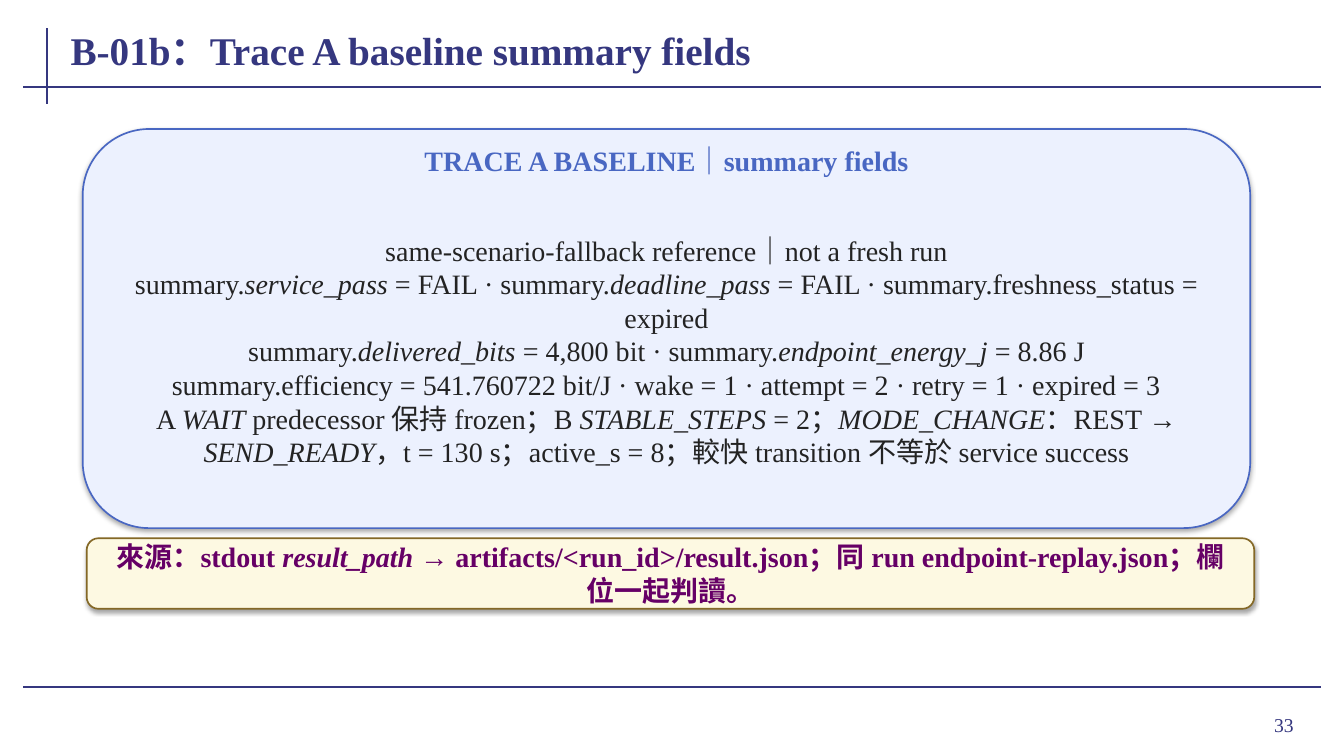
from lxml import etree
from pptx import Presentation
from pptx.dml.color import RGBColor
from pptx.enum.shapes import MSO_CONNECTOR, MSO_SHAPE
from pptx.enum.text import MSO_ANCHOR, MSO_AUTO_SIZE, PP_ALIGN
from pptx.oxml.ns import qn
from pptx.util import Inches, Pt

LINE, ROUND = MSO_CONNECTOR.STRAIGHT, MSO_SHAPE.ROUNDED_RECTANGLE
MIDDLE, NO_FIT = MSO_ANCHOR.MIDDLE, MSO_AUTO_SIZE.NONE
LEFT, CENTER, RIGHT = PP_ALIGN.LEFT, PP_ALIGN.CENTER, PP_ALIGN.RIGHT

FONT = "Times New Roman"
NAVY = RGBColor(0x35, 0x37, 0x7F)
BLUE = RGBColor(0x49, 0x67, 0xC2)
PALE = RGBColor(0xEC, 0xF1, 0xFE)
INK = RGBColor(0x23, 0x23, 0x23)
CREAM = RGBColor(0xFD, 0xF9, 0xE2)
BROWN = RGBColor(0x84, 0x68, 0x26)
PLUM = RGBColor(0x66, 0x00, 0x66)


def write(shape, lines, size, color, bold=False, align=CENTER, inset=(0.02, 0)):
    """Fill a shape with paragraphs; words between asterisks are italic."""
    frame = shape.text_frame
    frame.word_wrap = True
    frame.auto_size = NO_FIT
    frame.vertical_anchor = MIDDLE
    frame.margin_left = frame.margin_right = Inches(inset[0])
    frame.margin_top = frame.margin_bottom = Inches(inset[1])
    for i, line in enumerate(lines):
        para = frame.add_paragraph() if i else frame.paragraphs[0]
        para.alignment = align
        for j, part in enumerate(line.split("*")):
            if not part:
                continue
            run = para.add_run()
            run.text = part
            font = run.font
            font.name, font.size, font.bold = FONT, Pt(size), bold
            font.italic = j % 2 == 1
            font.color.rgb = color


def text_box(box, *args, **opts):
    write(slide.shapes.add_textbox(*map(Inches, box)), *args, **opts)


deck = Presentation()
deck.slide_width, deck.slide_height = Inches(13.33), Inches(7.5)
slide = deck.slides.add_slide(deck.slide_layouts[5])

# Frame rules
for ends in [(0.47, 0.28, 0.47, 1.03), (0.23, 0.86, 13.1, 0.86), (0.23, 6.82, 13.1, 6.82)]:
    rule = slide.shapes.add_connector(LINE, *map(Inches, ends))
    rule.line.color.rgb = NAVY
    rule.line.width = Pt(1.5)
    etree.SubElement(rule._element.spPr, qn("a:effectLst"))

# Title and page number
title = slide.shapes.title
title.left, title.top = Inches(0.68), Inches(0.18)
title.width, title.height = Inches(11.95), Inches(0.62)
write(title, ["B-01b：Trace A baseline summary fields"], 28, NAVY, bold=True, align=LEFT)
text_box((11.96, 6.93, 0.97, 0.52), ["33"], 14, NAVY, align=RIGHT, inset=(0.1, 0.05))

# Cards with a soft shadow
for box, fill, edge in [
    ((0.82, 1.28, 11.58, 3.96), PALE, BLUE),
    ((0.86, 5.34, 11.58, 0.7), CREAM, BROWN),
]:
    card = slide.shapes.add_shape(ROUND, *map(Inches, box))
    card.fill.solid()
    card.fill.fore_color.rgb = fill
    card.line.color.rgb = edge
    card.line.width = Pt(1.2)
    card.shadow.inherit = False
    effects = card._element.spPr.find(qn("a:effectLst"))
    shade = etree.SubElement(
        effects, qn("a:outerShdw"), blurRad=str(Pt(3.1)), dist=str(Pt(1.8)),
        dir="5400000", algn="ctr", rotWithShape="0")
    black = etree.SubElement(shade, qn("a:srgbClr"), val="000000")
    etree.SubElement(black, qn("a:alpha"), val="35000")

# Summary card text
text_box((1, 1.44, 11.22, 0.3), ["TRACE A BASELINE｜summary fields"], 20, BLUE,
         bold=True, inset=(0.01, 0))
text_box((1.02, 1.86, 11.18, 3.24), [
    "same-scenario-fallback reference｜not a fresh run",
    "summary.*service_pass* = FAIL · summary.*deadline_pass* = FAIL"
    " · summary.freshness_status = expired",
    "summary.*delivered_bits* = 4,800 bit · summary.*endpoint_energy_j* = 8.86 J",
    "summary.efficiency = 541.760722 bit/J · wake = 1 · attempt = 2 · retry = 1 · expired = 3",
    "A *WAIT* predecessor 保持 frozen；B *STABLE_STEPS* = 2；*MODE_CHANGE*：REST → "
    "*SEND_READY*，t = 130 s；active_s = 8；較快 transition 不等於 service success",
], 20, INK, inset=(0.08, 0.04))

# Source note
text_box((1.04, 5.41, 11.22, 0.56), [
    "來源：stdout *result_path* → artifacts/<run_id>/result.json；"
    "同 run endpoint-replay.json；欄位一起判讀。",
], 20, PLUM, bold=True)

deck.save("out.pptx")
